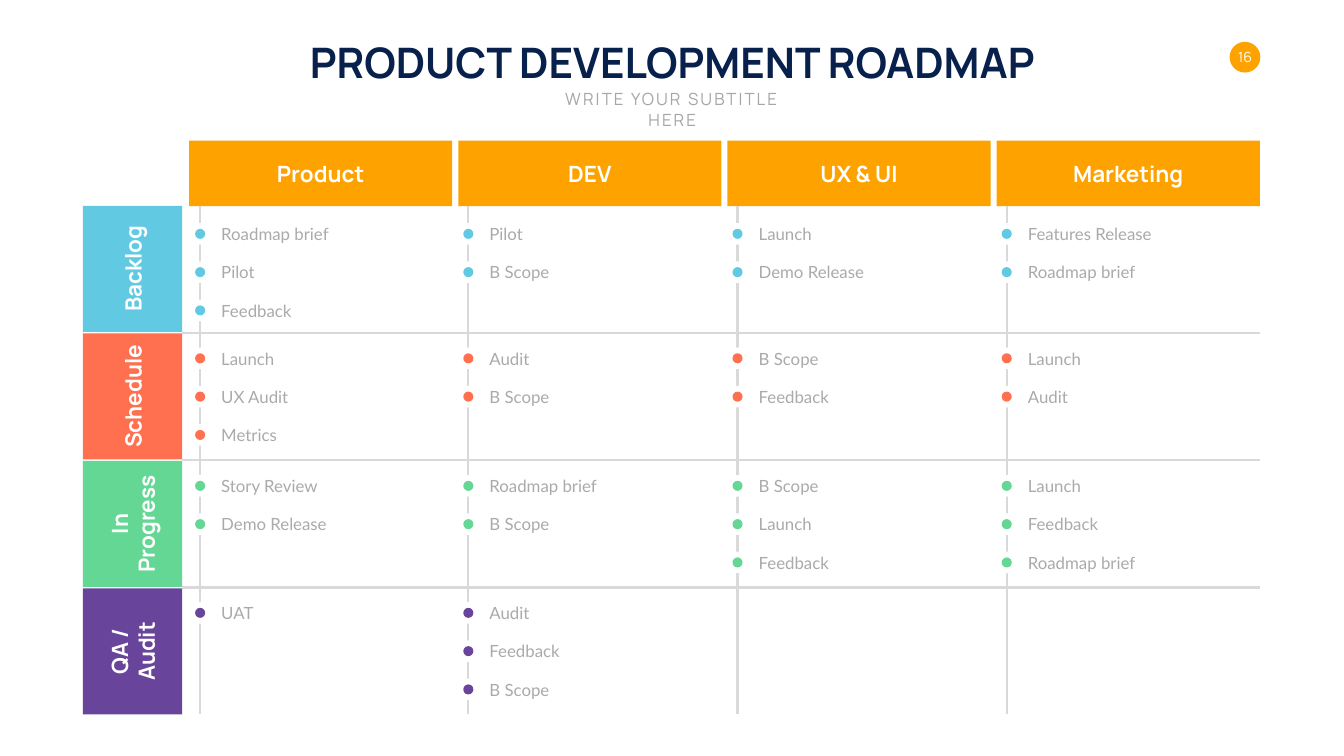
from dataclasses import dataclass
from lxml.etree import SubElement
from pptx import Presentation
from pptx.dml.color import RGBColor
from pptx.enum.shapes import MSO_CONNECTOR, MSO_SHAPE
from pptx.enum.text import MSO_ANCHOR, MSO_AUTO_SIZE, PP_ALIGN
from pptx.oxml.ns import qn
from pptx.util import Inches, Pt


@dataclass(frozen=True)
class Theme:
    back: str = "FEFFFE"
    white: str = "FFFFFF"
    navy: str = "08204C"
    amber: str = "FEA200"
    rule: str = "D9D9D9"
    muted: str = "A6A6A6"
    body: str = "AAAAAA"
    head: str = "Manrope"
    text: str = "Lato"
    title: int = 60
    label: int = 32
    item: int = 24
    page: int = 20


class Board:
    def __init__(self, slide, theme):
        self.slide = slide
        self.theme = theme
        fill = slide.background.fill
        fill.solid()
        fill.fore_color.rgb = RGBColor.from_string(theme.back)

    def label(self, frame, text, face, size, color, bold=False,
              align=PP_ALIGN.CENTER, anchor=MSO_ANCHOR.MIDDLE, wrap=True):
        frame.text = text
        frame.word_wrap = wrap
        frame.vertical_anchor = anchor
        for para in frame.paragraphs:
            para.alignment = align
            para.font.name = face
            para.font.size = Pt(size)
            para.font.bold = bold
            para.font.color.rgb = RGBColor.from_string(color)

    def title(self, text, left, top, width, height):
        shape = self.slide.shapes.title
        shape.left, shape.top = Inches(left), Inches(top)
        shape.width, shape.height = Inches(width), Inches(height)
        self.label(shape.text_frame, text, self.theme.head, self.theme.title,
                   self.theme.navy, bold=True, anchor=MSO_ANCHOR.TOP, wrap=False)
        shape.text_frame.auto_size = MSO_AUTO_SIZE.SHAPE_TO_FIT_TEXT

    def box(self, left, top, width, height):
        return self.slide.shapes.add_textbox(
            Inches(left), Inches(top), Inches(width), Inches(height)).text_frame

    def subtitle(self, text, left, top, width, height):
        frame = self.box(left, top, width, height)
        self.label(frame, text, self.theme.head, self.theme.item,
                   self.theme.muted, anchor=MSO_ANCHOR.TOP)
        for run in frame.paragraphs[0].runs:
            run.font._element.set("spc", "300")

    def shape(self, kind, left, top, width, height, color):
        shape = self.slide.shapes.add_shape(
            kind, Inches(left), Inches(top), Inches(width), Inches(height))
        shape.shadow.inherit = False
        shape.fill.solid()
        shape.fill.fore_color.rgb = RGBColor.from_string(color)
        shape.line.fill.background()
        return shape

    def block(self, text, left, top, width, height, color, turn=0):
        shape = self.shape(MSO_SHAPE.RECTANGLE, left, top, width, height, color)
        shape.rotation = turn
        self.label(shape.text_frame, text, self.theme.head, self.theme.label,
                   self.theme.white, bold=True)

    def badge(self, text, left, top, size):
        shape = self.shape(MSO_SHAPE.OVAL, left, top, size, size, self.theme.amber)
        self.label(shape.text_frame, text, self.theme.head, self.theme.page,
                   self.theme.white, wrap=False)

    def line(self, left, top, right, bottom):
        line = self.slide.shapes.add_connector(
            MSO_CONNECTOR.STRAIGHT, Inches(left), Inches(top),
            Inches(right), Inches(bottom))
        line.line.color.rgb = RGBColor.from_string(self.theme.rule)
        line.line.width = Pt(3)
        SubElement(line._element.spPr, qn("a:effectLst"))

    def dot(self, x, y, size, color):
        self.shape(MSO_SHAPE.OVAL, x - size / 2, y - size / 2, size, size, color)

    def item(self, text, x, y, color):
        self.dot(x, y, 0.43, self.theme.white)
        self.dot(x, y, 0.2, color)
        frame = self.box(x + 0.32, y - 0.25, 4.21, 0.5)
        self.label(frame, text, self.theme.text, self.theme.item,
                   self.theme.body, align=PP_ALIGN.LEFT)
        frame.paragraphs[0].space_after = Pt(18)


TEAMS = ("Product", "DEV", "UX & UI", "Marketing")
RAILS = (3.97, 9.29, 14.63, 19.97)
RULES = (6.6, 9.13, 11.65, 11.67)
STAGES = (
    ("Backlog", "61CAE2", 4.64, (
        ("Roadmap brief", "Pilot", "Feedback"),
        ("Pilot", "B Scope"),
        ("Launch", "Demo Release"),
        ("Features Release", "Roadmap brief"))),
    ("Schedule", "FE7050", 7.11, (
        ("Launch", "UX Audit", "Metrics"),
        ("Audit", "B Scope"),
        ("B Scope", "Feedback"),
        ("Launch", "Audit"))),
    ("In\nProgress", "64D795", 9.64, (
        ("Story Review", "Demo Release"),
        ("Roadmap brief", "B Scope"),
        ("B Scope", "Launch", "Feedback"),
        ("Launch", "Feedback", "Roadmap brief"))),
    ("QA /\nAudit", "69449B", 12.16, (
        ("UAT",),
        ("Audit", "Feedback", "B Scope"),
        (),
        ())),
)


def main():
    deck = Presentation()
    deck.slide_width, deck.slide_height = Inches(26.66), Inches(15)
    theme = Theme()
    board = Board(deck.slides.add_slide(deck.slide_layouts[5]), theme)

    board.badge("16", 24.39, 0.83, 0.61)
    board.title("PRODUCT DEVELOPMENT ROADMAP", 5.79, 0.67, 15.09, 1.11)
    board.subtitle("WRITE YOUR SUBTITLE HERE", 10.62, 1.72, 5.43, 0.5)

    for col, team in enumerate(TEAMS):
        board.block(team, 3.75 + 5.34 * col, 2.79, 5.22, 1.3, theme.amber)
    for row, (name, color, _, _) in enumerate(STAGES):
        board.block(name, 1.38, 4.35 + 2.53 * row, 2.5, 1.97, color, turn=270)
    for y in RULES:
        board.line(3.62, y, 25, y)
    for x in RAILS:
        board.line(x, 4.09, x, 14.17)

    for _, color, top, cells in STAGES:
        for x, tasks in zip(RAILS, cells):
            for step, task in enumerate(tasks):
                board.item(task, x, top + 0.76 * step, color)

    deck.save("out.pptx")


if __name__ == "__main__":
    main()
